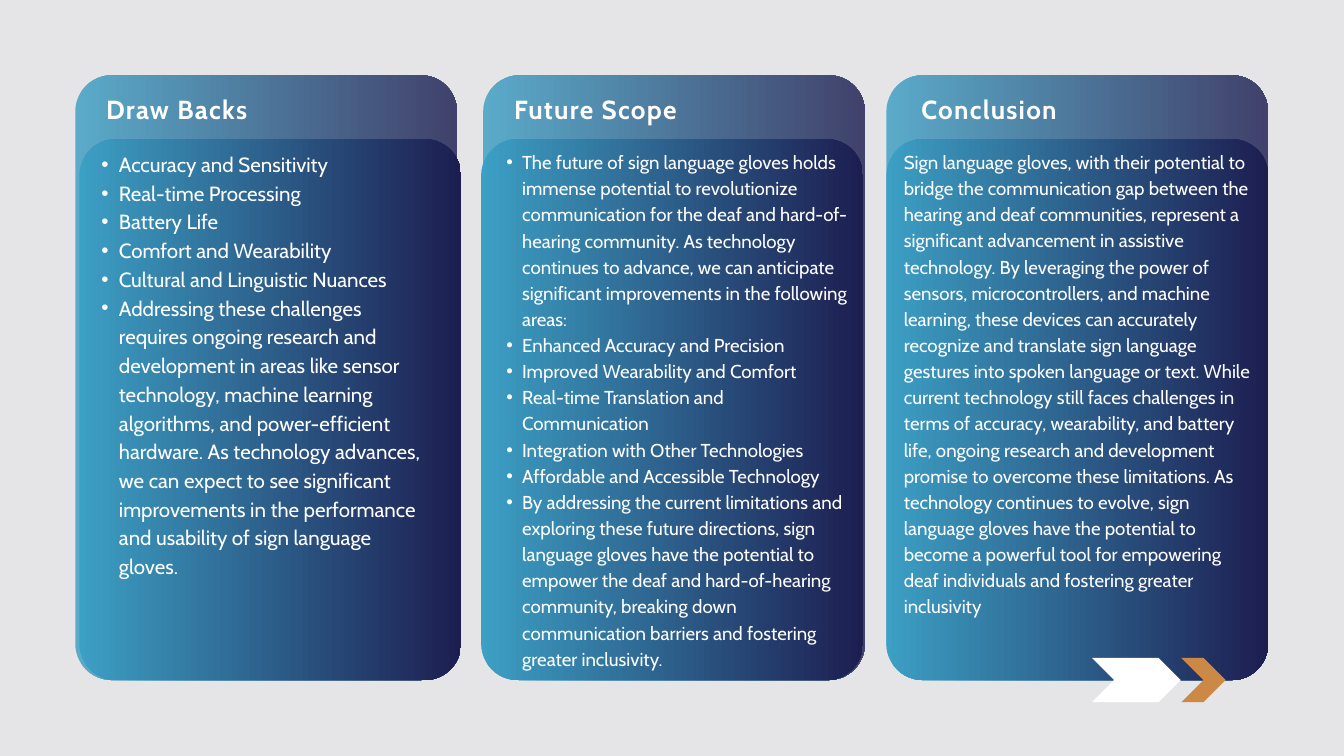
from dataclasses import dataclass

from lxml.etree import SubElement
from pptx import Presentation
from pptx.dml.color import RGBColor
from pptx.enum.shapes import MSO_SHAPE
from pptx.enum.text import MSO_AUTO_SIZE
from pptx.oxml.ns import qn
from pptx.slide import Slide
from pptx.util import Inches, Pt

WHITE, ORANGE, BACKGROUND = "FFFFFF", "CC8946", "E5E4E6"
GRADIENT = ("3C9FC4", "1D1E50")
CARD_WIDTH, CARD_TOP, PANEL_TOP, CARD_BOTTOM = 5.68, 1.12, 2.07, 10.12
CORNER_RADIUS = 0.54
HEADER_OPACITY = 81
ARROW_TOP, ARROW_HEIGHT = 9.79, 0.66
HEADING_FORMAT = {"name": "Cabin", "size": Pt(28), "bold": True}


@dataclass
class TextArea:
    left: float
    top: float
    width: float
    height: float


@dataclass
class Card:
    heading: str
    back_left: float
    panel_left: float
    heading_area: TextArea
    body_area: TextArea
    body_size: int
    bullet_indent: float  # zero means plain text
    paragraphs: list[str]


@dataclass
class Arrow:
    left: float
    width: float
    color: str


CARDS = [
    Card("Draw Backs", 1.12, 1.18, TextArea(1.58, 1.39, 4.37, 0.46),
         TextArea(1.25, 2.2, 5.02, 7.24), 22, 0.26, [
        "Accuracy and Sensitivity",
        "Real-time Processing",
        "Battery Life",
        "Comfort and Wearability",
        "Cultural and Linguistic Nuances",
        "Addressing these challenges requires ongoing research and development in areas "
        "like sensor technology, machine learning algorithms, and power-efficient hardware. "
        "As technology advances, we can expect to see significant improvements in the "
        "performance and usability of sign language gloves.",
    ]),
    Card("Future Scope", 7.19, 7.16, TextArea(7.65, 1.39, 4.41, 0.46),
         TextArea(7.3, 2.19, 5.41, 8.09), 20, 0.235, [
        "The future of sign language gloves holds immense potential to revolutionize "
        "communication for the deaf and hard-of-hearing community. As technology continues "
        "to advance, we can anticipate significant improvements in the following areas:",
        "Enhanced Accuracy and Precision",
        "Improved Wearability and Comfort",
        "Real-time Translation and Communication",
        "Integration with Other Technologies",
        "Affordable and Accessible Technology",
        "By addressing the current limitations and exploring these future directions, sign "
        "language gloves have the potential to empower the deaf and hard-of-hearing "
        "community, breaking down communication barriers and fostering greater inclusivity.",
    ]),
    Card("Conclusion", 13.19, 13.19, TextArea(13.71, 1.39, 4.35, 0.46),
         TextArea(13.45, 2.19, 5.17, 7.7), 20, 0, [
        "Sign language gloves, with their potential to bridge the communication gap between "
        "the hearing and deaf communities, represent a significant advancement in assistive "
        "technology. By leveraging the power of sensors, microcontrollers, and machine "
        "learning, these devices can accurately recognize and translate sign language "
        "gestures into spoken language or text. While current technology still faces "
        "challenges in terms of accuracy, wearability, and battery life, ongoing research "
        "and development promise to overcome these limitations. As technology continues to "
        "evolve, sign language gloves have the potential to become a powerful tool for "
        "empowering deaf individuals and fostering greater inclusivity",
    ]),
]
ARROWS = [Arrow(16.25, 1.32, WHITE), Arrow(17.58, 0.66, ORANGE)]


def rgb(color: str) -> RGBColor:
    return RGBColor.from_string(color)


def add_panel(slide: Slide, left: float, top: float, opacity: int = 100) -> None:
    """Draw a rounded panel with a left-to-right gradient."""
    shape = slide.shapes.add_shape(
        MSO_SHAPE.ROUNDED_RECTANGLE, Inches(left), Inches(top),
        Inches(CARD_WIDTH), Inches(CARD_BOTTOM - top))
    shape.adjustments[0] = CORNER_RADIUS / CARD_WIDTH
    shape.shadow.inherit = False
    shape.line.fill.background()
    shape.fill.gradient()
    shape.fill.gradient_angle = 0
    for stop, color in zip(shape.fill.gradient_stops, GRADIENT):
        stop.color.rgb = rgb(color)
    if opacity < 100:
        for color_element in shape.fill._xPr.iter(qn("a:srgbClr")):
            SubElement(color_element, qn("a:alpha"), val=str(opacity * 1000))


def add_text(slide: Slide, area: TextArea, paragraphs: list[str], font_format: dict,
             line_spacing: float, bullet_indent: float = 0, letter_spacing: float = 0) -> None:
    box = slide.shapes.add_textbox(
        Inches(area.left), Inches(area.top), Inches(area.width), Inches(area.height))
    frame = box.text_frame
    frame.word_wrap = True
    frame.auto_size = MSO_AUTO_SIZE.SHAPE_TO_FIT_TEXT
    for side in ("left", "top", "right", "bottom"):
        setattr(frame, f"margin_{side}", 0)
    for index, text in enumerate(paragraphs):
        paragraph = frame.add_paragraph() if index else frame.paragraphs[0]
        if bullet_indent:
            paragraph.level = 1
            properties = paragraph._p.get_or_add_pPr()
            properties.set("marL", str(Inches(2 * bullet_indent)))
            properties.set("indent", str(-Inches(bullet_indent)))
            SubElement(properties, qn("a:buFont"), typeface="Arial")
            SubElement(properties, qn("a:buChar"), char="•")
        paragraph.line_spacing = Pt(line_spacing)
        run = paragraph.add_run()
        run.text = text
        for attribute, value in font_format.items():
            setattr(run.font, attribute, value)
        run.font.color.rgb = rgb(WHITE)
        if letter_spacing:
            run.font._element.set("spc", str(round(letter_spacing * 100)))


def add_arrow(slide: Slide, arrow: Arrow) -> None:
    shape = slide.shapes.add_shape(
        MSO_SHAPE.CHEVRON, Inches(arrow.left), Inches(ARROW_TOP),
        Inches(arrow.width), Inches(ARROW_HEIGHT))
    shape.shadow.inherit = False
    shape.line.fill.background()
    shape.fill.solid()
    shape.fill.fore_color.rgb = rgb(arrow.color)


def main() -> None:
    presentation = Presentation()
    presentation.slide_width = Inches(20)
    presentation.slide_height = Inches(11.25)
    slide = presentation.slides.add_slide(presentation.slide_layouts[6])
    slide.background.fill.solid()
    slide.background.fill.fore_color.rgb = rgb(BACKGROUND)

    # Cards: translucent back, solid panel, heading and body
    for card in CARDS:
        add_panel(slide, card.back_left, CARD_TOP, HEADER_OPACITY)
        add_panel(slide, card.panel_left, PANEL_TOP)
        add_text(slide, card.heading_area, [card.heading], HEADING_FORMAT, 33.6,
                 letter_spacing=1.4)
        add_text(slide, card.body_area, card.paragraphs,
                 {"name": "Cabin", "size": Pt(card.body_size)},
                 card.body_size * 1.4, card.bullet_indent)

    # Arrows in the lower right corner
    for arrow in ARROWS:
        add_arrow(slide, arrow)

    presentation.save("out.pptx")


if __name__ == "__main__":
    main()
